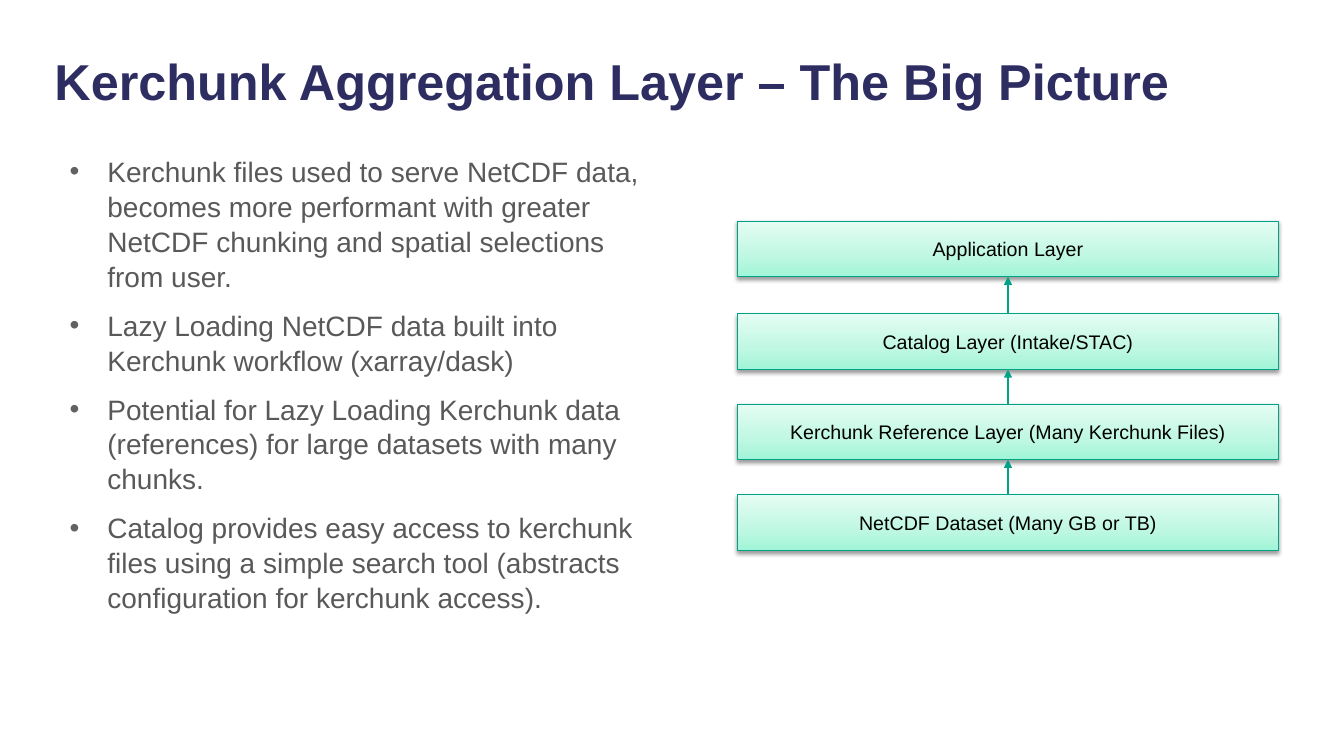
from lxml import etree
from pptx import Presentation
from pptx.dml.color import RGBColor
from pptx.enum.shapes import MSO_CONNECTOR, MSO_SHAPE
from pptx.enum.text import MSO_ANCHOR, MSO_AUTO_SIZE, PP_ALIGN
from pptx.util import Pt

RECTANGLE = MSO_SHAPE.RECTANGLE
STRAIGHT = MSO_CONNECTOR.STRAIGHT
TOP, MIDDLE = MSO_ANCHOR.TOP, MSO_ANCHOR.MIDDLE
LEFT, CENTER = PP_ALIGN.LEFT, PP_ALIGN.CENTER
NO_AUTOFIT = MSO_AUTO_SIZE.NONE
DRAWING = 'xmlns:a="http://schemas.openxmlformats.org/drawingml/2006/main"'
TEAL = "00A385"


def color(value):
    return RGBColor.from_string(value)


def write(para, text, hex_color, align, **font_format):
    para.alignment = align
    span = para.add_run()
    span.text = text
    span.font.color.rgb = color(hex_color)
    for name, value in {"name": "Arial", **font_format}.items():
        setattr(span.font, name, value)


deck = Presentation()
deck.slide_width, deck.slide_height = Pt(960), Pt(540)
page = deck.slides.add_slide(deck.slide_layouts[1])
title, body = page.placeholders

# Title and body frames
frames = [
    (title, (31.7, 27.4, 920, 60.5), MIDDLE),
    (body, (42.5, 105.8, 437.8, 60.5), TOP),
]
for box, place, anchor in frames:
    box.left, box.top, box.width, box.height = map(Pt, place)
    frame_format = {"word_wrap": True, "auto_size": NO_AUTOFIT, "vertical_anchor": anchor}
    for name, value in frame_format.items():
        setattr(box.text_frame, name, value)

write(title.text_frame.paragraphs[0], "Kerchunk Aggregation Layer – The Big Picture",
      "2E2D62", LEFT, size=Pt(36), bold=True)

# Bullet list
points = [
    "Kerchunk files used to serve NetCDF data, becomes more performant with greater "
    "NetCDF chunking and spatial selections from user.",
    "Lazy Loading NetCDF data built into Kerchunk workflow (xarray/dask)",
    "Potential for Lazy Loading Kerchunk data (references) for large datasets with many chunks.",
    "Catalog provides easy access to kerchunk files using a simple search tool "
    "(abstracts configuration for kerchunk access).",
]
bullet_parts = [
    f'<a:buClr {DRAWING}><a:srgbClr val="626262"/></a:buClr>',
    f'<a:buFont {DRAWING} typeface="Arial"/>',
    f'<a:buChar {DRAWING} char="•"/>',
]
for index, point in enumerate(points):
    para = body.text_frame.add_paragraph() if index else body.text_frame.paragraphs[0]
    write(para, point, "595959", LEFT, size=Pt(20))
    para.line_spacing = 1.04
    para.space_before = Pt(10)
    properties = para._p.get_or_add_pPr()
    properties.set("marL", str(Pt(27)))
    properties.set("indent", str(-Pt(27)))
    for part in bullet_parts:
        properties.append(etree.fromstring(part))

# Layer boxes, from top to bottom
layers = [
    ("Application Layer", 157.9),
    ("Catalog Layer (Intake/STAC)", 224.1),
    ("Kerchunk Reference Layer (Many Kerchunk Files)", 288.6),
    ("NetCDF Dataset (Many GB or TB)", 353.4),
]
box_left, box_width, box_height = 527, 386, 39.7
stops = "".join(
    f'<a:gs pos="{percent * 1000}"><a:srgbClr val="{shade}"/></a:gs>'
    for percent, shade in [(0, "A0F5D7"), (35, "BEF7E2"), (100, "E5FDF4")]
)
gradient = (f'<a:gradFill {DRAWING} rotWithShape="1"><a:gsLst>{stops}</a:gsLst>'
            '<a:lin ang="16200000" scaled="0"/></a:gradFill>')
shadow = (f'<a:outerShdw {DRAWING} blurRad="{Pt(3.1)}" dist="{Pt(1.6)}" dir="5400000" '
          'rotWithShape="0"><a:srgbClr val="000000"><a:alpha val="38000"/></a:srgbClr>'
          '</a:outerShdw>')
for label, top in layers:
    box = page.shapes.add_shape(RECTANGLE, *map(Pt, (box_left, top, box_width, box_height)))
    box.line.color.rgb = color(TEAL)
    box.line.width = Pt(0.75)
    box.shadow.inherit = False
    shape_properties = box._element.spPr
    shape_properties.insert(2, etree.fromstring(gradient))
    shape_properties[-1].append(etree.fromstring(shadow))
    box.text_frame.word_wrap = True
    box.text_frame.vertical_anchor = MIDDLE
    write(box.text_frame.paragraphs[0], label, "000000", CENTER, size=Pt(14))

# Arrows from each layer up to the one above
middle = box_left + box_width / 2
for (_, upper_top), (_, lower_top) in zip(layers, layers[1:]):
    arrow = page.shapes.add_connector(
        STRAIGHT, *map(Pt, (middle, lower_top, middle, upper_top + box_height)))
    arrow.line.color.rgb = color(TEAL)
    arrow.line.width = Pt(0.75)
    arrow.line._get_or_add_ln().append(etree.fromstring(f'<a:tailEnd {DRAWING} type="triangle"/>'))
    arrow._element.spPr.append(etree.fromstring(f'<a:effectLst {DRAWING}/>'))

deck.save("out.pptx")
